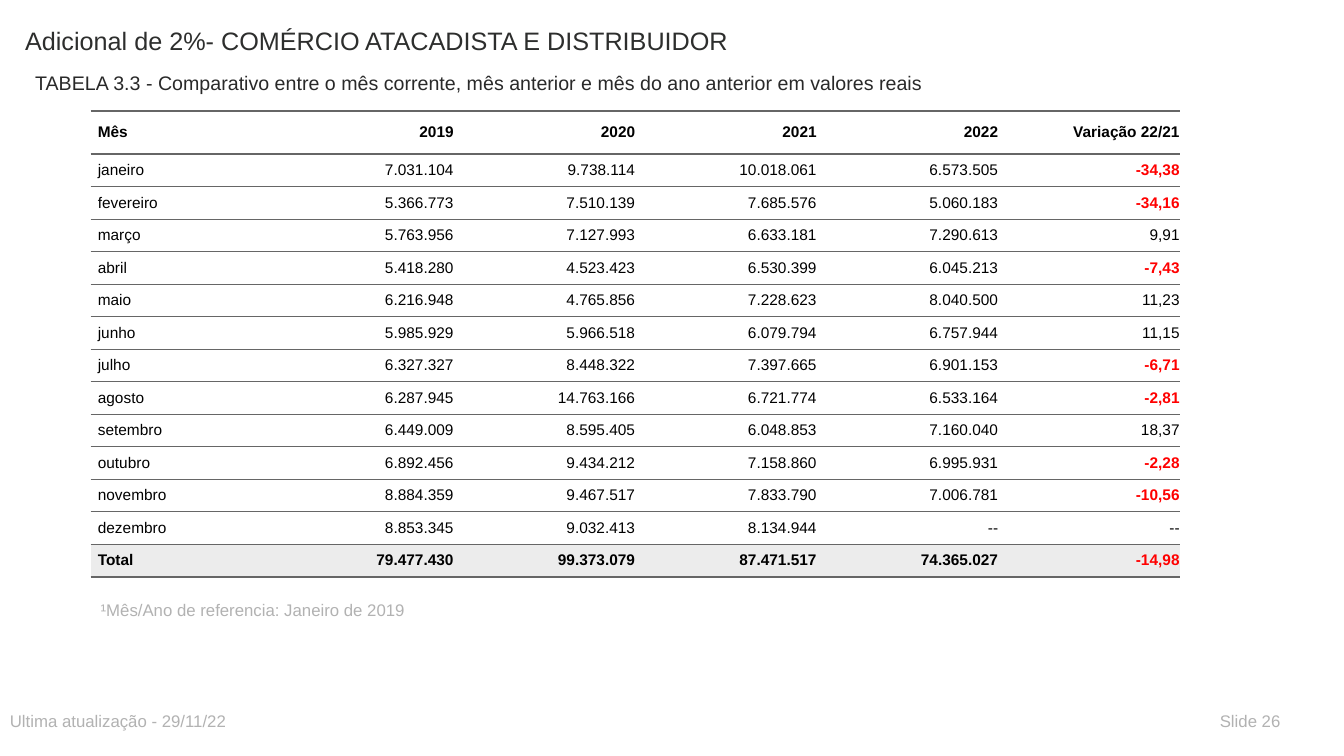
import pptx
import pptx.dml.color
import pptx.enum.text
import pptx.oxml.ns
import pptx.util
from lxml import etree

PX = 9144  # EMU per px, 100 px to the inch
GRAY, BLACK, RED = "666666", "000000", "FF0000"


def rgb(color):
    return pptx.dml.color.RGBColor.from_string(color)


def add_run(p, text, size, color, bold=False):
    r = p.add_run()
    r.text = text
    r.font.name = "Arial"
    r.font.size = pptx.util.Pt(size)
    r.font.bold = bold
    r.font.color.rgb = rgb(color)


prs = pptx.Presentation()
prs.slide_width, prs.slide_height = 1333 * PX, 750 * PX
slide = prs.slides.add_slide(prs.slide_layouts[6])

# Titles, footnote and footer
texts = [
    (15, 20, 800, 59, 18, "2D2E2D", "Adicional de 2%- COMÉRCIO ATACADISTA E DISTRIBUIDOR"),
    (25, 65, 1000, 30, 14, "292929",
     "TABELA 3.3 - Comparativo entre o mês corrente, mês anterior e mês do ano anterior em valores reais"),
    (90, 590, 650, 30, 12, "B2B2B2", "¹Mês/Ano de referencia: Janeiro de 2019"),
    (0, 700, 650, 30, 12, "B2B2B2", "Ultima atualização - 29/11/22"),
    (1200, 700, 90, 30, 12, "B2B2B2", "Slide 26"),
]
for x, y, w, h, size, color, text in texts:
    tf = slide.shapes.add_textbox(x * PX, y * PX, w * PX, h * PX).text_frame
    tf.word_wrap = True
    add_run(tf.paragraphs[0], text, size, color)

# Table data
rows = [
    ("Mês", "2019", "2020", "2021", "2022", "Variação 22/21"),
    ("janeiro", "7.031.104", "9.738.114", "10.018.061", "6.573.505", "-34,38"),
    ("fevereiro", "5.366.773", "7.510.139", "7.685.576", "5.060.183", "-34,16"),
    ("março", "5.763.956", "7.127.993", "6.633.181", "7.290.613", "9,91"),
    ("abril", "5.418.280", "4.523.423", "6.530.399", "6.045.213", "-7,43"),
    ("maio", "6.216.948", "4.765.856", "7.228.623", "8.040.500", "11,23"),
    ("junho", "5.985.929", "5.966.518", "6.079.794", "6.757.944", "11,15"),
    ("julho", "6.327.327", "8.448.322", "7.397.665", "6.901.153", "-6,71"),
    ("agosto", "6.287.945", "14.763.166", "6.721.774", "6.533.164", "-2,81"),
    ("setembro", "6.449.009", "8.595.405", "6.048.853", "7.160.040", "18,37"),
    ("outubro", "6.892.456", "9.434.212", "7.158.860", "6.995.931", "-2,28"),
    ("novembro", "8.884.359", "9.467.517", "7.833.790", "7.006.781", "-10,56"),
    ("dezembro", "8.853.345", "9.032.413", "8.134.944", "--", "--"),
    ("Total", "79.477.430", "99.373.079", "87.471.517", "74.365.027", "-14,98"),
]
last = len(rows) - 1

# Table frame: equal columns, taller header row
frame = slide.shapes.add_table(len(rows), 6, 90 * PX, 110 * PX, 1080 * PX, 368 * PX)
table = frame.table
table.horz_banding = False
for row in table.rows:
    row.height = 25 * PX
table.rows[0].height = 43 * PX

# Table cells
for i, values in enumerate(rows):
    top = 2 if i < 2 else 0.5
    bottom = 2 if i in (0, last) else 0.5
    for j, text in enumerate(values):
        cell = table.cell(i, j)
        cell.margin_left = cell.margin_right = 0
        cell.margin_top = cell.margin_bottom = pptx.util.Pt(5)
        cell.vertical_anchor = pptx.enum.text.MSO_ANCHOR.MIDDLE

        # Horizontal rules only
        tcPr = cell._tc.get_or_add_tcPr()
        for side, width in (("L", 0), ("R", 0), ("T", top), ("B", bottom)):
            ln = etree.SubElement(tcPr, pptx.oxml.ns.qn(f"a:ln{side}"), w=str(int(width * 12700)))
            if width:
                fill = etree.SubElement(ln, pptx.oxml.ns.qn("a:solidFill"))
                etree.SubElement(fill, pptx.oxml.ns.qn("a:srgbClr"), val=GRAY)
            else:
                etree.SubElement(ln, pptx.oxml.ns.qn("a:noFill"))
        cell.fill.solid()
        cell.fill.fore_color.rgb = rgb("ECECEC" if i == last else "FFFFFF")

        # Month names to the left, figures to the right, falls in bold red
        p = cell.text_frame.paragraphs[0]
        p.space_before = p.space_after = pptx.util.Pt(5)
        p.alignment = pptx.enum.text.PP_ALIGN.RIGHT if j else pptx.enum.text.PP_ALIGN.LEFT
        p._p.get_or_add_pPr().set("marL", str(7 * PX))
        fall = text.startswith("-") and text != "--"
        add_run(p, text, 11, RED if fall else BLACK, fall or i in (0, last))

prs.save("out.pptx")
